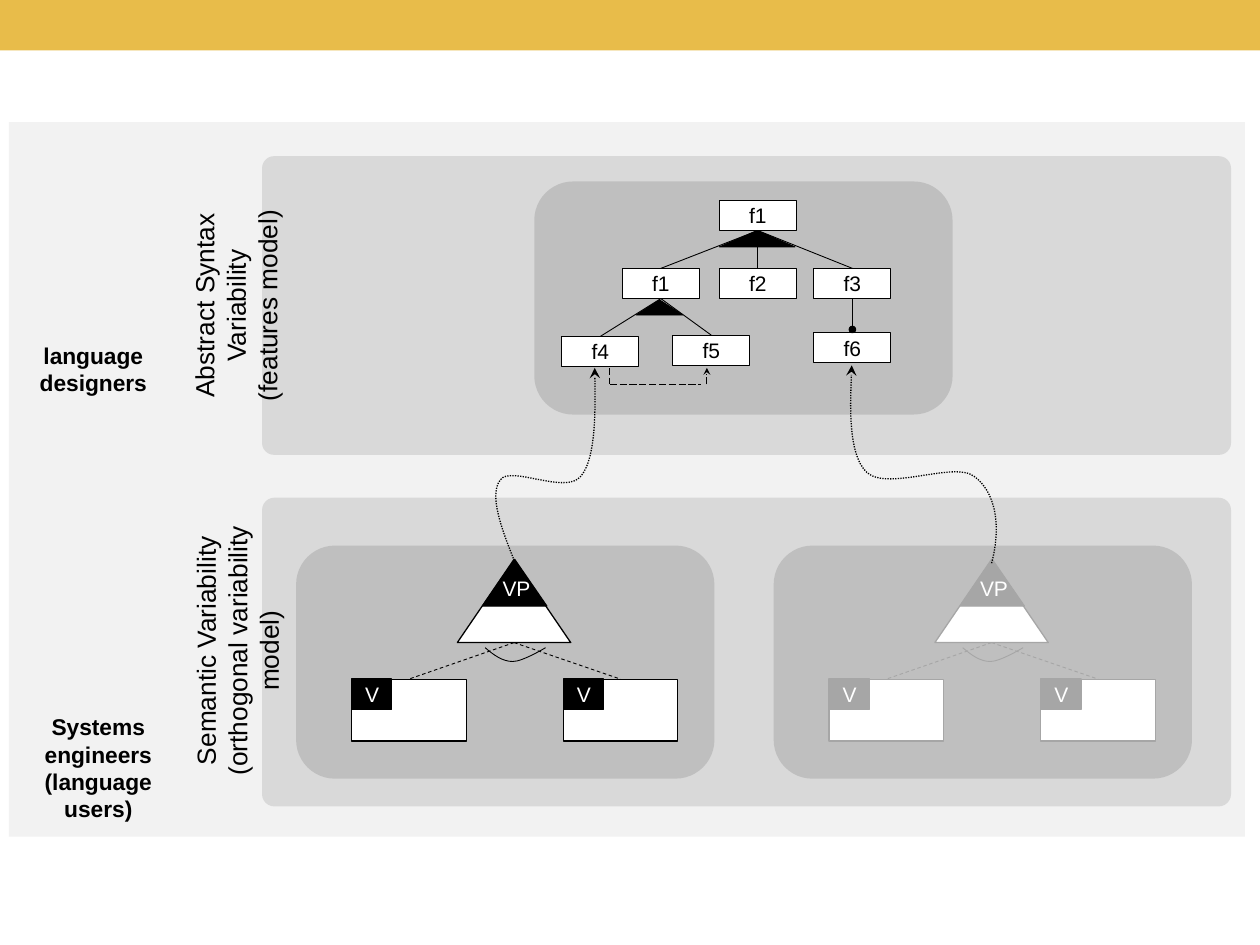
"""Build a slide that links a feature model to its variation points."""
from dataclasses import dataclass

from lxml.etree import SubElement
from pptx import Presentation
from pptx.dml.color import RGBColor
from pptx.enum.dml import MSO_LINE
from pptx.enum.shapes import MSO_CONNECTOR, MSO_SHAPE
from pptx.enum.text import MSO_ANCHOR, MSO_AUTO_SIZE, PP_ALIGN
from pptx.oxml.ns import qn
from pptx.util import Inches, Pt

GOLD = RGBColor(0xE8, 0xBC, 0x4A)
PALE = RGBColor(0xF2, 0xF2, 0xF2)
LIGHT = RGBColor(0xD9, 0xD9, 0xD9)
MID = RGBColor(0xBF, 0xBF, 0xBF)
FADED = RGBColor(0xA6, 0xA6, 0xA6)
BLACK = RGBColor(0, 0, 0)
WHITE = RGBColor(0xFF, 0xFF, 0xFF)
FONT = "Arial"
RECT, ROUND, CONE = MSO_SHAPE.RECTANGLE, MSO_SHAPE.ROUNDED_RECTANGLE, MSO_SHAPE.ISOSCELES_TRIANGLE


@dataclass
class Box:
    left: float
    top: float
    width: float
    height: float

    def frame(self) -> list:
        return [Inches(v) for v in (self.left, self.top, self.width, self.height)]


@dataclass
class Feature:
    key: str
    text: str
    left: float
    top: float


@dataclass
class Label:
    text: str
    box: Box
    size: int
    bold: bool = False
    turn: int = 0


@dataclass
class Model:
    left: float
    color: RGBColor


@dataclass
class Link:
    box: Box
    knots: list


FEATURES = [
    Feature("root", "f1", 5.71, 1.59), Feature("f1", "f1", 4.94, 2.13),
    Feature("f2", "f2", 5.71, 2.13), Feature("f3", "f3", 6.46, 2.13),
    Feature("f4", "f4", 4.46, 2.67), Feature("f5", "f5", 5.34, 2.66),
    Feature("f6", "f6", 6.46, 2.64),
]
TREE = {"root": ["f1", "f2", "f3"], "f1": ["f4", "f5"], "f3": ["f6"]}
SIDES = [
    Label("Abstract Syntax Variability\n(features model)", Box(0.5, 2.12, 2.5, 0.61), 15, turn=270),
    Label("Semantic Variability\n(orthogonal variability model)",
          Box(0.35, 4.86, 2.82, 0.61), 15, turn=270),
]
ROLES = [
    Label("language\ndesigners", Box(0, 2.66, 1.48, 0.54), 13, True),
    Label("Systems engineers\n(language users)", Box(0, 5.61, 1.56, 0.54), 13, True),
]
MODELS = [Model(6.14, FADED), Model(2.35, BLACK)]
LINKS = [
    Link(Box(6.76, 2.9, 1.15, 1.57),
         [(7.87, 4.47), (7.95, 4.17), (7.9, 3.9), (7.73, 3.78), (7.57, 3.66),
          (7.05, 3.9), (6.88, 3.75), (6.72, 3.6), (6.76, 2.9), (6.76, 2.9)]),
    Link(Box(3.93, 2.92, 0.79, 1.56),
         [(4.09, 4.47), (3.98, 4.2), (3.88, 3.93), (3.97, 3.81), (4.05, 3.69),
          (4.49, 3.93), (4.61, 3.78), (4.74, 3.63), (4.72, 2.92), (4.72, 2.92)]),
]


def style(line, color: RGBColor, width: float, dash=None) -> None:
    line.color.rgb = color
    line.width = Pt(width)
    if dash is not None:
        line.dash_style = dash


def point(shape, size="med") -> None:
    SubElement(shape.get_or_add_ln(), qn("a:tailEnd"), type="stealth", w=size, len=size)


def draw(slide, kind, box: Box, fill: RGBColor, edge=None, width=0.75):
    shape = slide.shapes.add_shape(kind, *box.frame())
    shape.shadow.inherit = False
    shape.fill.solid()
    shape.fill.fore_color.rgb = fill
    if edge is None:
        shape.line.fill.background()
    else:
        style(shape.line, edge, width)
    return shape


def write(shape, text: str, size: int, color: RGBColor, align, bold=False) -> None:
    frame = shape.text_frame
    frame.text = text
    frame.word_wrap = True
    frame.auto_size = MSO_AUTO_SIZE.SHAPE_TO_FIT_TEXT
    for para in frame.paragraphs:
        para.alignment = align
        for run in para.runs:
            run.font.name = FONT
            run.font.size = Pt(size)
            run.font.bold = bold
            run.font.color.rgb = color


def join(slide, start: tuple, end: tuple, color=BLACK, dash=None, source=None, target=None):
    ends = [Inches(v) for v in (*start, *end)]
    wire = slide.shapes.add_connector(MSO_CONNECTOR.STRAIGHT, *ends)
    if source is not None:
        wire.begin_connect(source, 2)
    if target is not None:
        wire.end_connect(target, 0)
    style(wire.line, color, 0.5, dash)
    SubElement(wire._element.spPr, qn("a:effectLst"))
    return wire


def curve(slide, link: Link, color: RGBColor, width: float, dash=None):
    left, top, wide, high = link.box.frame()
    pen = slide.shapes.build_freeform(left, top)
    pen.add_line_segments([(left + wide, top + high)], close=False)
    shape = pen.convert_to_shape()
    trail = next(shape._element.iter(qn("a:path")))
    for part in list(trail):
        trail.remove(part)
    groups = [link.knots[:1]]
    groups += [link.knots[i:i + 3] for i in range(1, len(link.knots), 3)]
    for group in groups:
        part = SubElement(trail, qn("a:moveTo" if len(group) == 1 else "a:cubicBezTo"))
        for x, y in group:
            SubElement(part, qn("a:pt"), x=str(Inches(x) - left), y=str(Inches(y) - top))
    shape.shadow.inherit = False
    shape.fill.background()
    style(shape.line, color, width, dash)
    return shape


def label(slide, item: Label, color=BLACK, align=PP_ALIGN.CENTER) -> None:
    shape = slide.shapes.add_textbox(*item.box.frame())
    shape.rotation = item.turn
    write(shape, item.text, item.size, color, align, item.bold)


def draw_tree(slide) -> None:
    draw(slide, ROUND, Box(4.24, 1.44, 3.32, 1.85), MID)
    for box in (Box(5.71, 1.83, 0.6, 0.13), Box(5.05, 2.38, 0.37, 0.12)):
        draw(slide, CONE, box, BLACK, BLACK, 0.5)
    nodes = {}
    for item in FEATURES:
        node = draw(slide, RECT, Box(item.left, item.top, 0.61, 0.24), WHITE, BLACK, 0.5)
        write(node, item.text, 12, BLACK, PP_ALIGN.CENTER)
        frame = node.text_frame
        frame.vertical_anchor = MSO_ANCHOR.MIDDLE
        frame.margin_left = frame.margin_right = Inches(0.04)
        frame.margin_top = frame.margin_bottom = Inches(0.02)
        nodes[item.key] = node
    for head, kids in TREE.items():
        for kid in kids:
            join(slide, (0, 0), (1, 1), source=nodes[head], target=nodes[kid])
    draw(slide, MSO_SHAPE.OVAL, Box(6.74, 2.59, 0.05, 0.05), BLACK, BLACK)
    dash = MSO_LINE.LONG_DASH
    join(slide, (4.84, 3.05), (5.56, 3.05), dash=dash)
    point(join(slide, (5.61, 3.05), (5.61, 2.92), dash=dash), "sm")
    join(slide, (4.84, 2.92), (4.84, 3.05), dash=dash)


def draw_model(slide, model: Model) -> None:
    x, color = model.left, model.color
    draw(slide, ROUND, Box(x, 4.33, 3.32, 1.85), MID)
    draw(slide, CONE, Box(x + 1.28, 4.44, 0.9, 0.66), WHITE, color)
    draw(slide, CONE, Box(x + 1.48, 4.44, 0.51, 0.37), color, color)
    for left in (x + 0.44, x + 2.12):
        card = draw(slide, RECT, Box(left, 5.39, 0.91, 0.49), WHITE, color)
        draw(slide, RECT, Box(left, 5.39, 0.32, 0.24), color, color)
        join(slide, (x + 1.73, 5.1), (left, 5.39), color, MSO_LINE.DASH, target=card)
        label(slide, Label("V", Box(left + 0.01, 5.36, 0.6, 0.3), 12), WHITE, PP_ALIGN.LEFT)
    arc = [(1.5, 5.14), (1.57, 5.2), (1.64, 5.25), (1.72, 5.25),
           (1.8, 5.25), (1.98, 5.14), (1.98, 5.14)]
    knots = [(x + dx, y) for dx, y in arc]
    curve(slide, Link(Box(x + 1.5, 5.14, 0.48, 0.11), knots), color, 0.5)
    label(slide, Label("VP", Box(x + 1.54, 4.52, 0.6, 0.3), 12), WHITE, PP_ALIGN.LEFT)


def main() -> None:
    deck = Presentation()
    deck.slide_width, deck.slide_height = Inches(10), Inches(7.5)
    slide = deck.slides.add_slide(deck.slide_layouts[6])
    draw(slide, RECT, Box(0, 0, 10, 0.4), GOLD)
    draw(slide, ROUND, Box(0.07, 0.97, 9.81, 5.67), PALE).adjustments[0] = 0
    for top, height in ((1.24, 2.37), (3.95, 2.45)):
        draw(slide, ROUND, Box(2.08, top, 7.69, height), LIGHT).adjustments[0] = 0.04
    draw_tree(slide)
    for side, model in zip(SIDES, MODELS):
        label(slide, side)
        draw_model(slide, model)
    for link in LINKS:
        point(curve(slide, link, BLACK, 0.75, MSO_LINE.ROUND_DOT))
    for role in ROLES:
        label(slide, role)
    deck.save("out.pptx")


if __name__ == "__main__":
    main()
